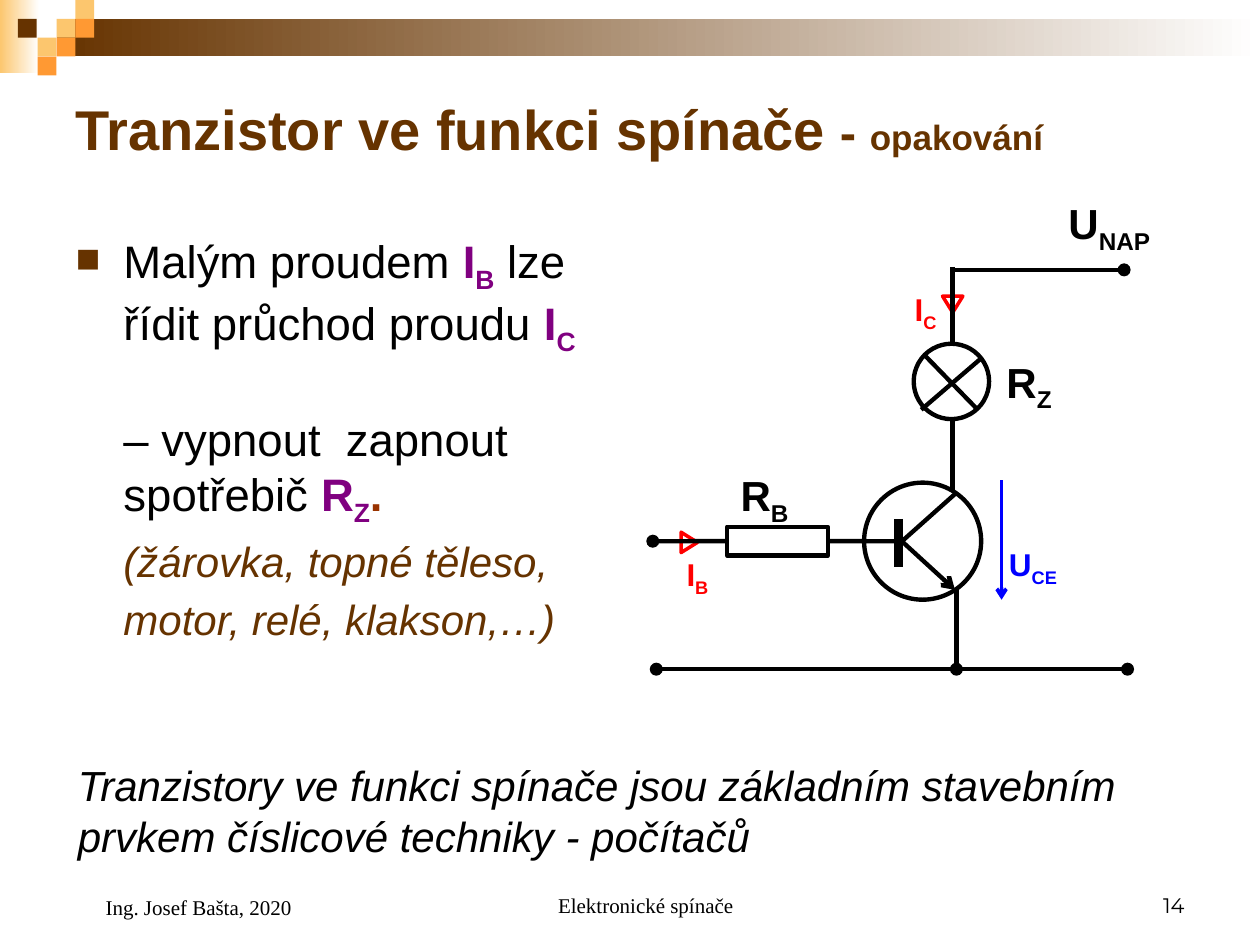
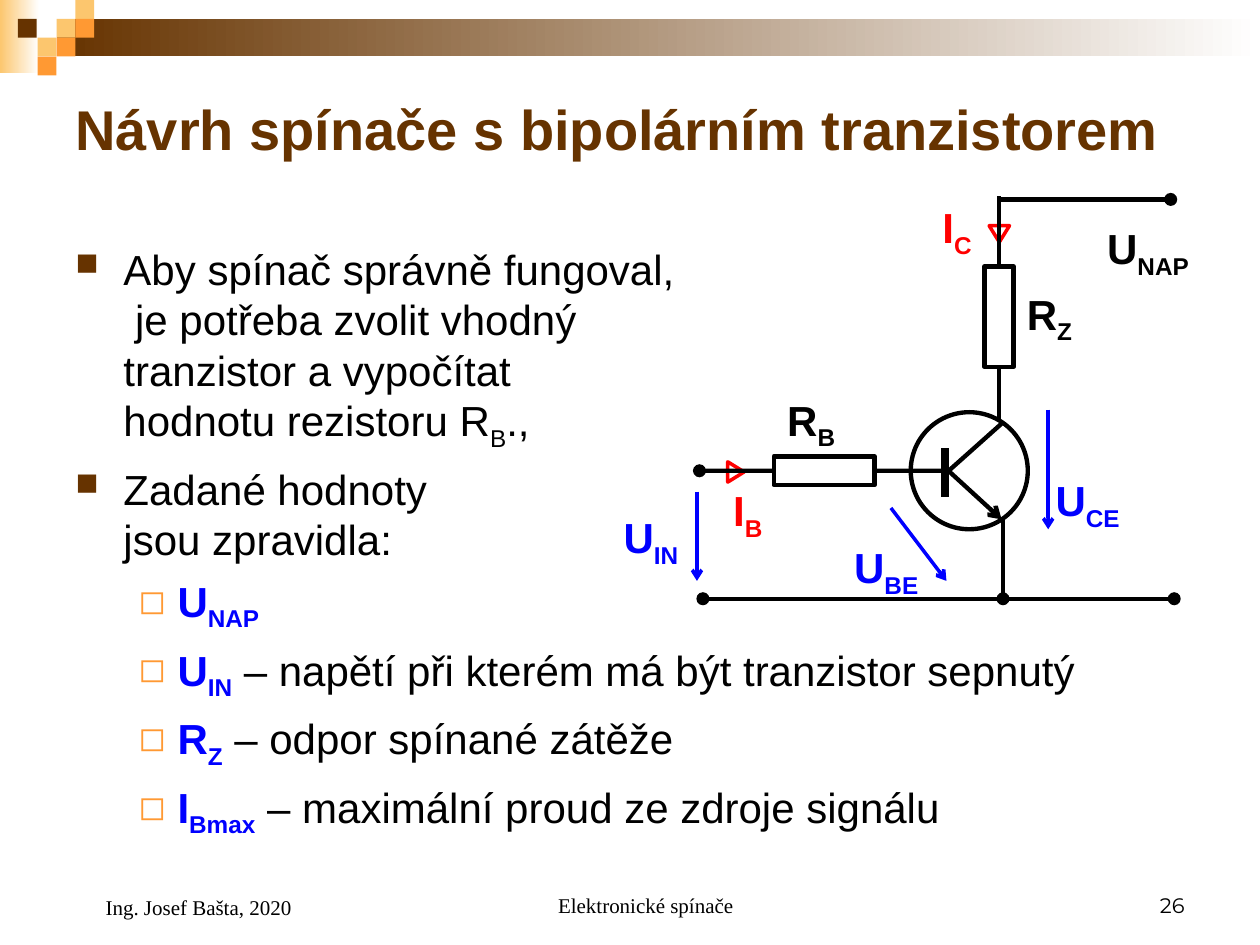
import pptx
import pptx.util
import pptx.dml.color
import pptx.enum.shapes
import pptx.enum.text
import lxml.etree
from pptx.util import Cm

RGBColor = pptx.dml.color.RGBColor
MSO_SHAPE = pptx.enum.shapes.MSO_SHAPE
ANCHOR = pptx.enum.text.MSO_ANCHOR
ALIGN = pptx.enum.text.PP_ALIGN

BROWN = RGBColor(0x66, 0x33, 0x00)
RUST = RGBColor(0x99, 0x33, 0x00)
ORANGE = RGBColor(0xFF, 0x99, 0x33)
SAND = RGBColor(0xFC, 0xC6, 0x6E)
PURPLE = RGBColor(0x80, 0x00, 0x80)
RED = RGBColor(0xFF, 0x00, 0x00)
BLUE = RGBColor(0x00, 0x00, 0xFF)
BLACK = RGBColor(0x00, 0x00, 0x00)
WHITE = RGBColor(0xFF, 0xFF, 0xFF)

MAIN = dict(margin=0.97, hang=0.97, bullet=("■", BROWN, 75))
SUB = dict(margin=2.06, hang=0.79, bullet=("◻", ORANGE, 80))


def add_text(s, box, paras, size, font="Arial", anchor=ANCHOR.TOP, align=ALIGN.LEFT):
    tf = s.shapes.add_textbox(*[Cm(v) for v in box]).text_frame
    tf.word_wrap = True
    tf.vertical_anchor = anchor
    for i, para in enumerate(paras):
        p = tf.paragraphs[0] if i == 0 else tf.add_paragraph()
        p.alignment = align
        p.line_spacing = para.get("spacing")
        if i:
            p.space_before = pptx.util.Pt(para.get("before", 0))
        pPr = p._p.get_or_add_pPr()
        pPr.set("marL", str(Cm(para.get("margin", 0))))
        pPr.set("indent", str(-Cm(para.get("hang", 0))))
        if "bullet" in para:
            char, colour, percent = para["bullet"]
            clr = lxml.etree.SubElement(pPr, pptx.oxml.ns.qn("a:buClr"))
            lxml.etree.SubElement(clr, pptx.oxml.ns.qn("a:srgbClr"), val=str(colour))
            lxml.etree.SubElement(pPr, pptx.oxml.ns.qn("a:buSzPct"), val=str(percent * 1000))
            lxml.etree.SubElement(pPr, pptx.oxml.ns.qn("a:buChar"), char=char)
        for text, colour, style, *own_size in para["runs"]:
            for n, part in enumerate(text.split("\n")):
                if n:
                    p.add_line_break()
                r = p.add_run()
                r.text = part
                r.font.name = font
                r.font.size = pptx.util.Pt(own_size[0] if own_size else size)
                r.font.color.rgb = colour
                r.font.bold = "b" in style
                r.font.italic = "i" in style
                if "s" in style:
                    r._r.get_or_add_rPr().set("baseline", "-25000")


def add_line(s, x1, y1, x2, y2, colour=BLACK, width=2.5, head=None, tail=None):
    c = s.shapes.add_connector(pptx.enum.shapes.MSO_CONNECTOR.STRAIGHT,
                               Cm(x1), Cm(y1), Cm(x2), Cm(y2))
    c.line.color.rgb = colour
    c.line.width = pptx.util.Pt(width)
    ln = c.line._get_or_add_ln()
    for tag, kind in (("a:headEnd", head), ("a:tailEnd", tail)):
        if kind:
            lxml.etree.SubElement(ln, pptx.oxml.ns.qn(tag), type=kind)
    lxml.etree.SubElement(c._element.spPr, pptx.oxml.ns.qn("a:effectLst"))
    return c


prs = pptx.Presentation()
prs.slide_width = Cm(25.4)
prs.slide_height = Cm(19.05)

bands = [(0, 0, 0.79, 1.47, SAND), (1.14, 0.38, 24.26, 0.76, BROWN)]
squares = [(1.14, 0.38, SAND), (1.52, 0, SAND), (1.52, 0.38, ORANGE), (0.76, 0.76, SAND),
           (0.36, 0.38, BROWN), (1.14, 0.76, ORANGE), (0.76, 1.14, ORANGE)]

slide_data = [
    dict(
        number="14", dx=0, dy=0, label_size=18,
        title=[("Tranzistor ve funkci spínače", BROWN, "b"), (" - ", BROWN, "b", 28),
               ("opakování", BROWN, "b", 20)],
        load=(MSO_SHAPE.OVAL, 18.42, 6.93, 1.52, 1.52),
        body_box=(1.27, 4.57, 10.9, 10.34), body_size=26,
        body=[
            dict(MAIN, runs=[("Malým proudem ", BLACK, ""), ("I", PURPLE, "b"),
                             ("B", PURPLE, "bs"), (" lze řídit průchod proudu ", BLACK, ""),
                             ("I", PURPLE, "b"), ("C", PURPLE, "bs")]),
            dict(margin=0.97, before=31,
                 runs=[("– vypnout  zapnout spotřebič ", BLACK, ""), ("R", PURPLE, "b"),
                       ("Z", PURPLE, "bs"), (".", RUST, "b")]),
            dict(margin=0.97, spacing=1.15,
                 runs=[("(žárovka, topné těleso, motor, relé, klakson,…)", BROWN, "i", 24)]),
        ],
        labels=[("I", "C", RED, 18, 18.19, 5.72, 1.07), ("I", "B", RED, 18, 13.59, 11.07, 1.07),
                ("U", "CE", BLUE, 18, 20.09, 10.87, 1.73),
                ("U", "NAP", BLACK, 24, 21.29, 3.86, 2.46),
                ("R", "B", BLACK, 24, 14.68, 9.35, 1.78),
                ("R", "Z", BLACK, 24, 20.04, 7.06, 1.78)],
    ),
    dict(
        number="26", dx=0.94, dy=-1.42,
        title=[("Návrh spínače s bipolárním tranzistorem", BROWN, "b")],
        load=(MSO_SHAPE.RECTANGLE, 18.91, 6.79, 0.58, 2.03),
        body_box=(1.27, 4.78, 22.78, 12.45), body_size=24,
        body=[
            dict(MAIN, runs=[("Aby spínač správně fungoval,\n je potřeba zvolit vhodný\n"
                              "tranzistor a vypočítat\nhodnotu rezistoru R", BLACK, ""),
                             ("B", BLACK, "s"), (".,", BLACK, "")]),
            dict(MAIN, before=6.5, runs=[("Zadané hodnoty\njsou zpravidla:", BLACK, "")]),
        ] + [
            dict(SUB, before=6.5, runs=[(symbol, BLUE, "b"), (index, BLUE, "bs")]
                 + ([(meaning, BLACK, "")] if meaning else []))
            for symbol, index, meaning in [
                ("U", "NAP", ""),
                ("U", "IN", " – napětí při kterém má být tranzistor sepnutý"),
                ("R", "Z", " – odpor spínané zátěže"),
                ("I", "Bmax", " – maximální proud ze zdroje signálu")]
        ],
        labels=[("I", "C", RED, 24, 18.75, 3.94, 1.4), ("I", "B", RED, 24, 14.53, 9.65, 1.24),
                ("U", "CE", BLUE, 24, 21.03, 9.45, 1.98),
                ("U", "NAP", BLACK, 24, 22.07, 4.37, 2.46),
                ("R", "B", BLACK, 24, 15.62, 7.82, 1.78),
                ("R", "Z", BLACK, 24, 20.45, 5.69, 1.78),
                ("U", "BE", BLUE, 24, 16.97, 10.8, 1.93),
                ("U", "IN", BLUE, 24, 12.32, 10.19, 1.98)],
    ),
]

for data in slide_data:
    s = prs.slides.add_slide(prs.slide_layouts[6])
    dx, dy = data["dx"], data["dy"]

    for x, y, w, h, colour in bands:
        sp = s.shapes.add_shape(MSO_SHAPE.RECTANGLE, Cm(x), Cm(y), Cm(w), Cm(h))
        sp.shadow.inherit = False
        sp.line.fill.background()
        sp.fill.gradient()
        sp.fill.gradient_angle = 0
        sp.fill.gradient_stops[0].color.rgb = colour
        sp.fill.gradient_stops[1].color.rgb = WHITE
    for x, y, colour in squares:
        sp = s.shapes.add_shape(MSO_SHAPE.RECTANGLE, Cm(x), Cm(y), Cm(0.38), Cm(0.38))
        sp.shadow.inherit = False
        sp.line.fill.background()
        sp.fill.solid()
        sp.fill.fore_color.rgb = colour

    add_text(s, (1.27, 1.27, 22.86, 2.62), [dict(runs=data["title"])], 32, anchor=ANCHOR.MIDDLE)
    add_text(s, data["body_box"], data["body"], data["body_size"])

    parts = []
    for kind, x, y, w, h, rotation, colour, width in [
            (MSO_SHAPE.RECTANGLE, 14.66, 10.62, 2.03, 0.58, 0, BLACK, 2.5),
            (*data["load"], 0, BLACK, 2.5),
            (MSO_SHAPE.OVAL, 17.42, 9.73, 2.36, 2.36, 0, BLACK, 2.5),
            (MSO_SHAPE.ISOSCELES_TRIANGLE, 13.69, 10.77, 0.41, 0.33, 90, RED, 2),
            (MSO_SHAPE.ISOSCELES_TRIANGLE, 19.0, 5.97, 0.41, 0.33, 180, RED, 2)]:
        sp = s.shapes.add_shape(kind, Cm(x + dx), Cm(y + dy), Cm(w), Cm(h))
        sp.shadow.inherit = False
        sp.fill.background()
        sp.line.color.rgb = colour
        sp.line.width = pptx.util.Pt(width)
        sp.rotation = rotation
        parts.append(sp)
    base_resistor, load = parts[:2]

    wires = []
    for x1, y1, x2, y2, style in [
            (13.16, 10.91, 14.66, 10.91, dict(head="oval")),
            (16.69, 10.91, 18.08, 10.91, {}),
            (19.2, 5.38, 19.2, 6.93, {}),
            (19.2, 8.45, 19.2, 9.91, {}),
            (13.23, 13.49, 22.73, 13.49, dict(head="oval", tail="oval")),
            (19.18, 5.44, 22.66, 5.44, dict(tail="oval")),
            (19.28, 13.49, 19.28, 11.89, dict(head="oval")),
            (18.11, 10.46, 18.11, 11.43, dict(width=5)),
            (18.14, 10.95, 19.25, 9.96, {}),
            (18.19, 10.92, 19.25, 11.89, dict(tail="arrow")),
            (20.19, 9.68, 20.19, 12.09, dict(colour=BLUE, width=2, tail="arrow"))]:
        wires.append(add_line(s, x1 + dx, y1 + dy, x2 + dx, y2 + dy, **style))
    wires[0].end_connect(base_resistor, 1)
    wires[1].begin_connect(base_resistor, 3)

    if data["load"][0] == MSO_SHAPE.RECTANGLE:
        wires[2].end_connect(load, 0)
        wires[3].begin_connect(load, 2)
        for arrow in [(17.96, 10.24, 19.08, 11.71), (14.05, 9.91, 14.05, 11.71)]:
            add_line(s, *arrow, colour=BLUE, width=2, tail="arrow")
    else:
        add_line(s, 19.71, 8.26, 18.62, 7.14)
        add_line(s, 19.76, 7.24, 18.57, 8.26)
        add_text(s, (1.32, 15.19, 22.94, 2.29),
                 [dict(runs=[("Tranzistory ve funkci spínače jsou základním stavebním prvkem "
                              "číslicové techniky - počítačů", BLACK, "i")])], 24)

    for symbol, index, colour, size, x, y, w in data["labels"]:
        add_text(s, (x, y, w, size * 0.06),
                 [dict(runs=[(symbol, colour, "b"), (index, colour, "bs")])], size)

    for text, box, font, align, margin in [
            ("Elektronické spínače", (8.69, 17.35, 8.05, 1.27), "Times New Roman", ALIGN.CENTER, 0.61),
            (data["number"], (18.21, 17.35, 5.92, 1.27), "Montserrat", ALIGN.RIGHT, 0),
            ("Ing. Josef Bašta, 2020", (1.27, 17.35, 5.92, 1.32), "Times New Roman", ALIGN.LEFT, 0.61)]:
        add_text(s, box, [dict(margin=margin, runs=[(text, BLACK, "")])], 12, font,
                 ANCHOR.BOTTOM, align)

prs.save("out.pptx")
